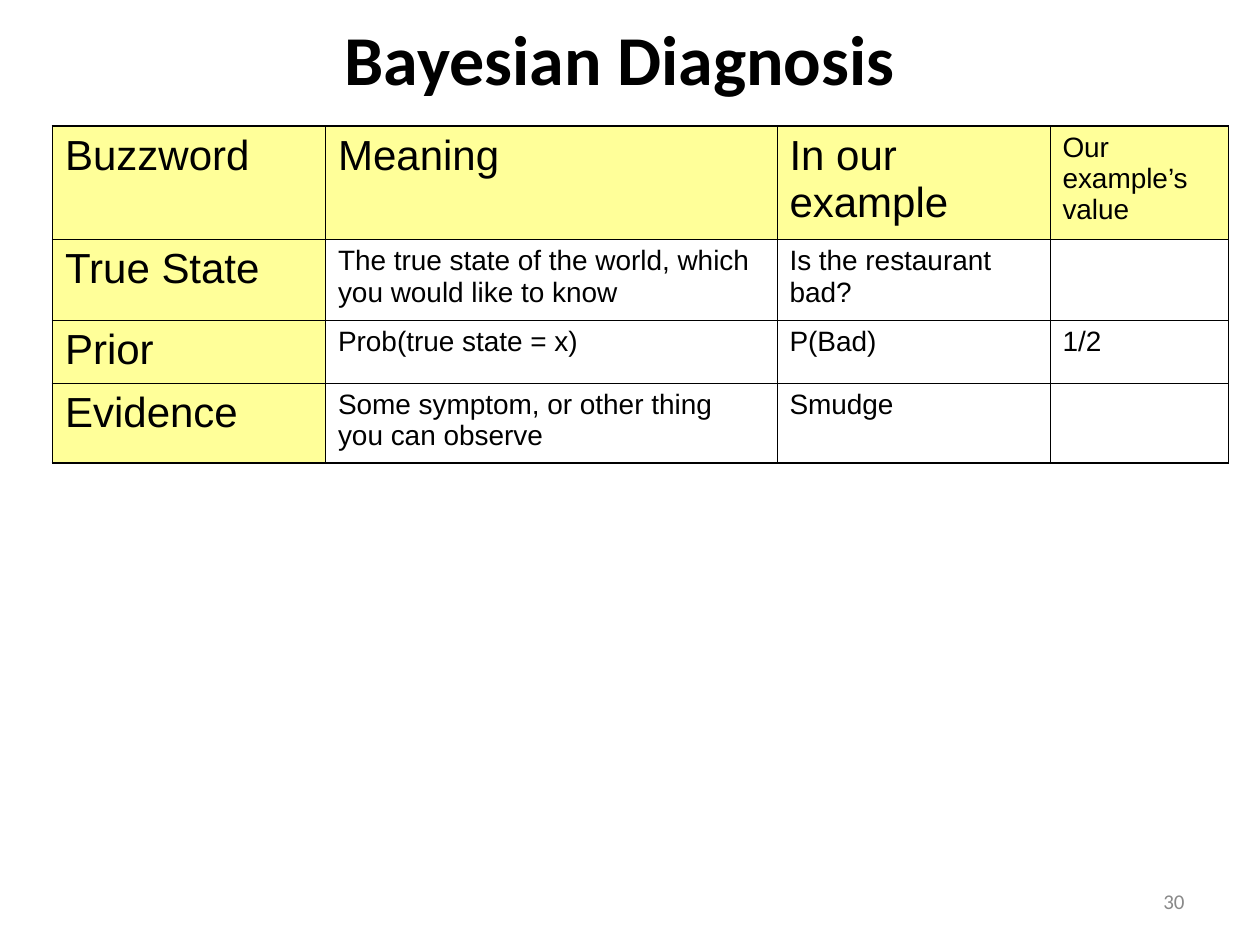
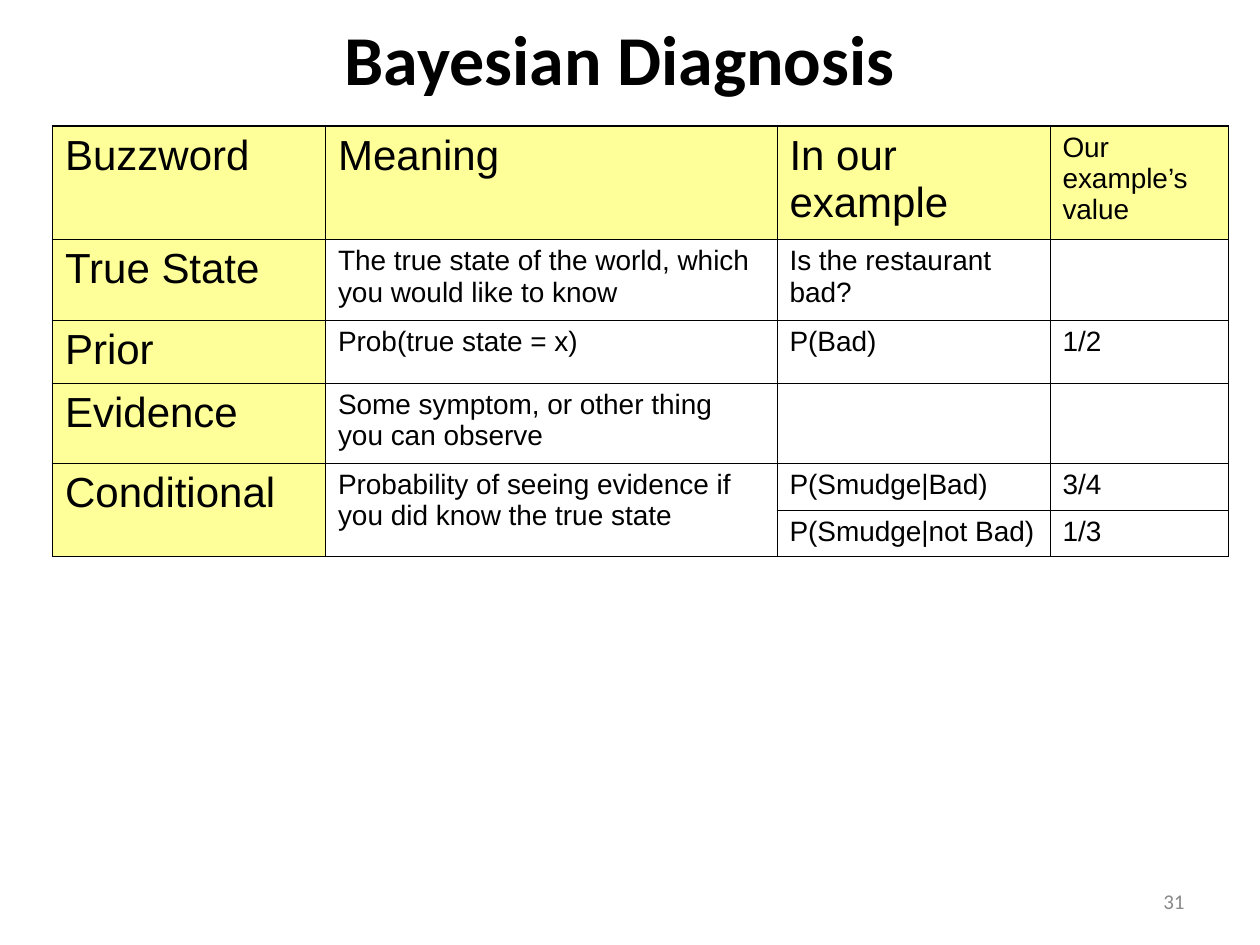
from lxml import etree
from pptx import Presentation
from pptx.dml.color import RGBColor
from pptx.enum.text import MSO_ANCHOR, PP_ALIGN
from pptx.oxml.ns import qn
from pptx.util import Emu, Pt

MIDDLE = MSO_ANCHOR.MIDDLE
CENTER, RIGHT = PP_ALIGN.CENTER, PP_ALIGN.RIGHT

BLACK = RGBColor(0x00, 0x00, 0x00)
GRAY = RGBColor(0x89, 0x89, 0x89)
YELLOW = RGBColor(0xFF, 0xFF, 0x99)

HEAD, BODY = "Calibri", "Arial"
LARGE, SMALL = 24, 16
THIN, THICK = 0.45, 1.08
SCALE = 7620  # EMU in one px, 120 px to the inch
COLS = (260, 430, 260, 170)


def px(n):
    return Emu(n * SCALE)


class Deck:
    def __init__(self):
        self.prs = Presentation()
        self.prs.slide_width, self.prs.slide_height = px(1200), px(900)
        self.slide = None

    def page(self, title, number):
        self.slide = self.prs.slides.add_slide(self.prs.slide_layouts[6])
        self.text(title, (30, 10, 1120, 90), 40, BLACK, CENTER, bold=True)
        self.text(str(number), (860, 834, 280, 48), 12, GRAY, RIGHT)

    def text(self, words, box, size, color, align, bold=False):
        frame = self.slide.shapes.add_textbox(*map(px, box)).text_frame
        frame.word_wrap = True
        frame.vertical_anchor = MIDDLE
        frame.text = words
        para = frame.paragraphs[0]
        para.alignment = align
        self.style(para, HEAD, size, color, bold)

    def style(self, para, name, size, color, bold=False):
        for run in para.runs:
            font = run.font
            font.name, font.size, font.bold = name, Pt(size), bold
            font.color.rgb = color

    def table(self, left, top, rows, heights, merges=()):
        frame = self.slide.shapes.add_table(
            len(rows), len(COLS), px(left), px(top),
            px(sum(COLS)), px(sum(heights)))
        table = frame.table
        table.first_row = table.horz_banding = False
        for col, width in zip(table.columns, COLS):
            col.width = px(width)
        for row, height in zip(table.rows, heights):
            row.height = px(height)
        for first, last in merges:
            table.cell(*first).merge(table.cell(*last))
        for r, row in enumerate(rows):
            for c, words in enumerate(row):
                cell = table.cell(r, c)
                self.fill(cell, words, r, c)
                end = r + (cell.span_height if cell.is_merge_origin else 1)
                outer = (c == 0, c == len(COLS) - 1, r == 0, end == len(rows))
                self.edge(cell, outer)

    def fill(self, cell, words, r, c):
        label = r == 0 or c == 0
        if label:
            cell.fill.solid()
            cell.fill.fore_color.rgb = YELLOW
        else:
            cell.fill.background()
        frame = cell.text_frame
        if words:
            frame.text = words
            size = LARGE if label and c < len(COLS) - 1 else SMALL
            self.style(frame.paragraphs[0], BODY, size, BLACK)
        else:
            # Keeps an empty cell from stretching its row
            mark = frame.paragraphs[0]._p.get_or_add_endParaRPr()
            mark.set("sz", str(SMALL * 100))

    def edge(self, cell, outer):
        props = cell._tc.get_or_add_tcPr()
        for i, (side, thick) in enumerate(zip("LRTB", outer)):
            line = etree.Element(qn(f"a:ln{side}"))
            line.set("w", str(Pt(THICK if thick else THIN)))
            solid = etree.SubElement(line, qn("a:solidFill"))
            etree.SubElement(solid, qn("a:srgbClr")).set("val", str(BLACK))
            props.insert(i, line)


def main():
    deck = Deck()
    title = "Bayesian Diagnosis"
    symptom = "Some symptom, or other thing you can observe"
    base = [
        ("Buzzword", "Meaning", "In our example", "Our example’s value"),
        ("True State",
         "The true state of the world, which you would like to know",
         "Is the restaurant bad?", ""),
        ("Prior", "Prob(true state = x)", "P(Bad)", "1/2"),
    ]
    heights = [108, 77, 60, 76]

    # Evidence
    deck.page(title, 30)
    deck.table(50, 120, base + [("Evidence", symptom, "Smudge", "")], heights)

    # Conditional
    deck.page(title, 31)
    more = [
        ("Evidence", symptom, "", ""),
        ("Conditional",
         "Probability of seeing evidence if you did know the true state",
         "P(Smudge|Bad)", "3/4"),
        ("", "", "P(Smudge|not Bad)", "1/3"),
    ]
    deck.table(50, 120, base + more, heights + [45, 44],
               [((4, c), (5, c)) for c in (0, 1)])

    deck.prs.save("out.pptx")


if __name__ == "__main__":
    main()
